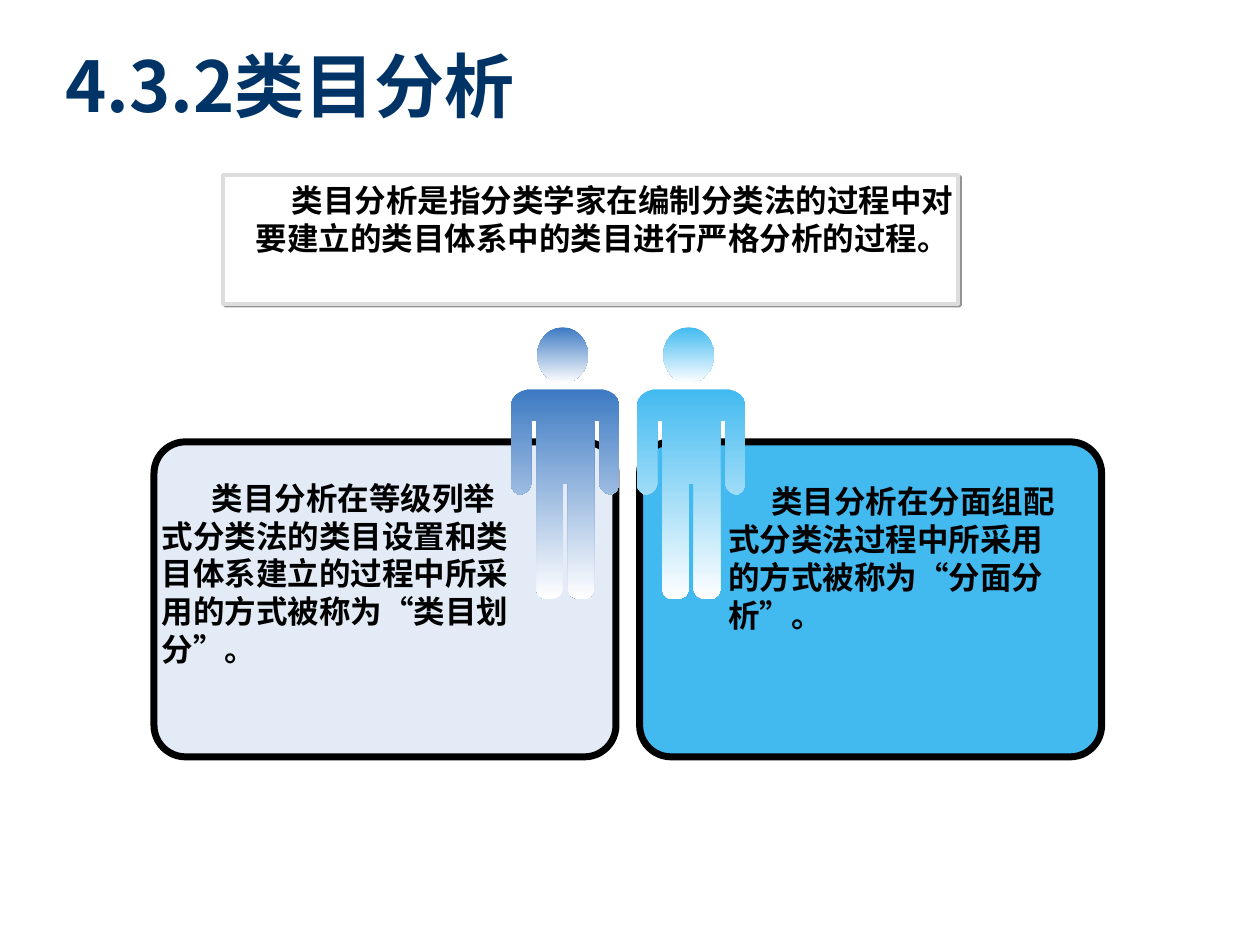
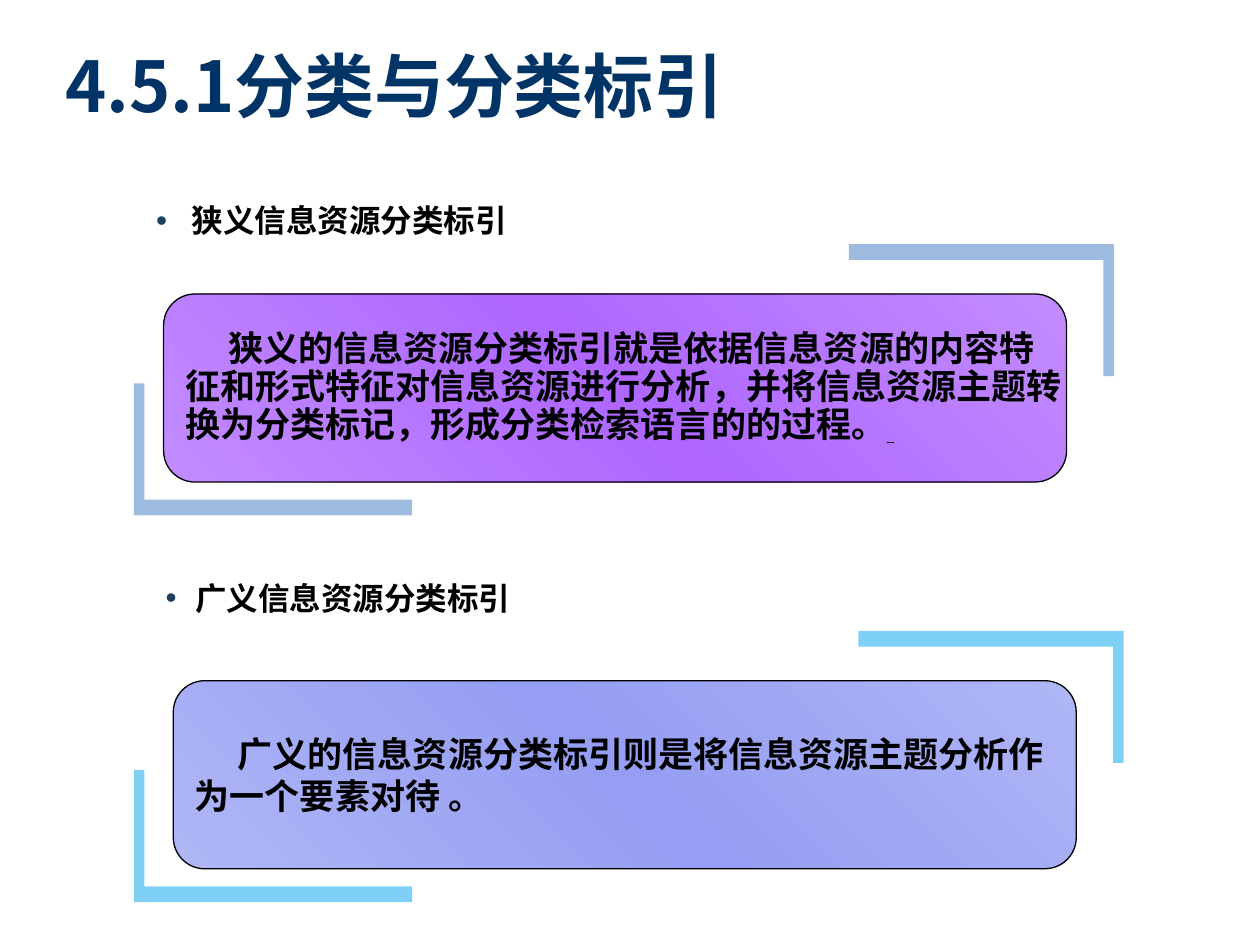
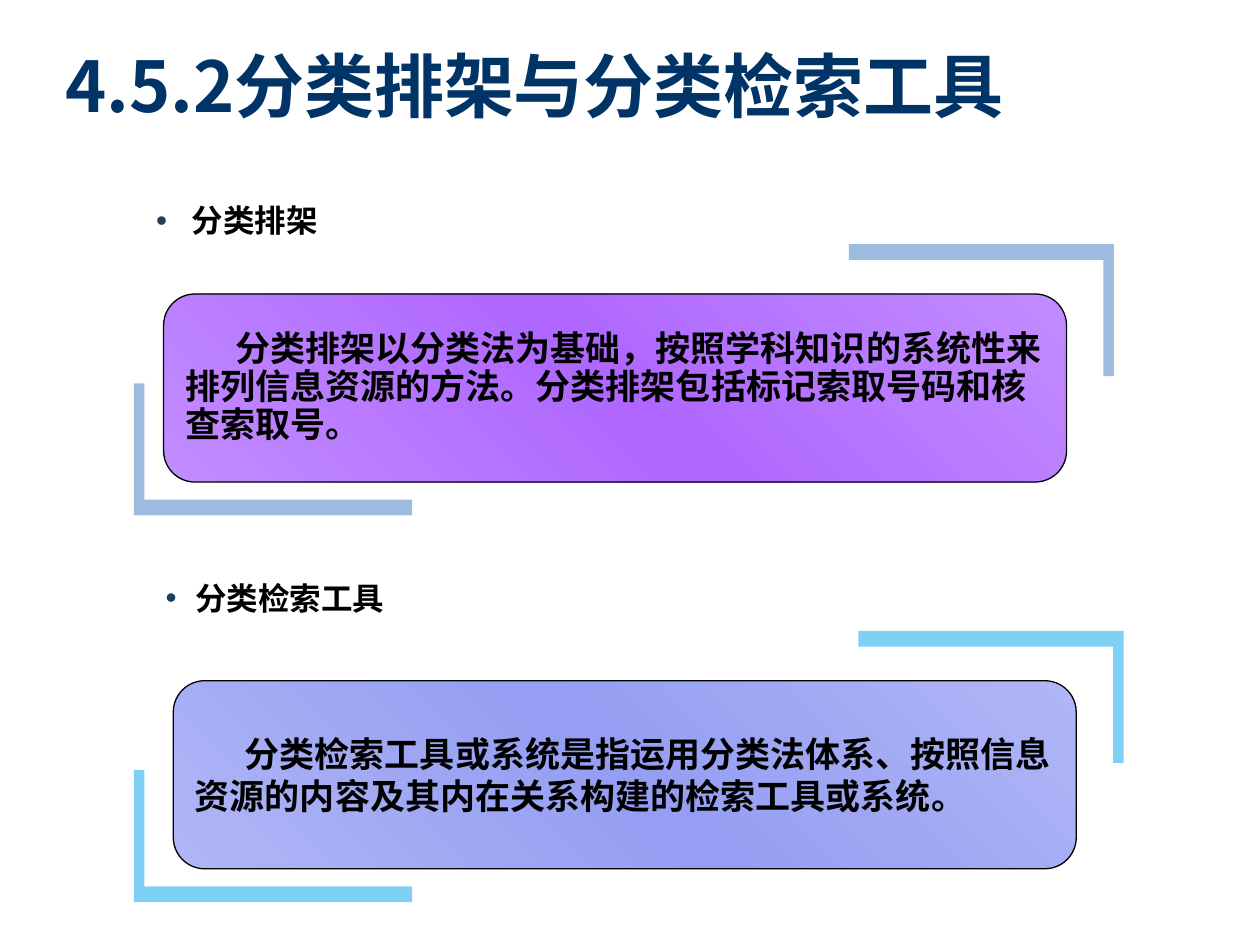
from dataclasses import dataclass
from math import cos, pi, sin

from lxml.etree import SubElement as Sub
from pptx import Presentation
from pptx.dml.color import RGBColor as RGB
from pptx.enum.shapes import MSO_SHAPE as Kind
from pptx.enum.text import MSO_ANCHOR as Anchor, MSO_AUTO_SIZE as Fit, PP_ALIGN as Align
from pptx.oxml.ns import qn
from pptx.util import Pt


@dataclass(frozen=True)
class Theme:
    navy: str = "003366"
    dot: str = "1F3F5F"
    ink: str = "000000"
    white: str = "FFFFFF"
    frame: str = "DDDDDD"
    shade: str = "292929"
    blue: str = "3D7AC3"
    sky: str = "42BAF0"
    violet: tuple = ("C28CFF", "AF67FF", "C28CFF")
    lilac: tuple = ("AFB6F6", "959EF3", "AFB6F6")
    head: str = "Noto Sans CJK SC"
    font: str = "Arial"
    title: int = 40
    text: int = 18
    card: int = 20


look = Theme()


def write(frame, text, size=look.text, color=look.ink, font=look.font, indent=0,
          hang=0, spacing=None, wrap=True, anchor=Anchor.TOP):
    """Fill a frame, one paragraph a line; hang sets a bullet, indent the first line."""
    frame.auto_size = Fit.NONE
    frame.word_wrap = wrap
    frame.vertical_anchor = anchor
    for i, line in enumerate(text.split("\n")):
        para = frame.add_paragraph() if i else frame.paragraphs[0]
        props = para._p.get_or_add_pPr()
        first = -hang if hang else indent if i == 0 else 0
        props.set("marL", str(Pt(hang)))
        props.set("indent", str(Pt(first)))
        if hang:
            Sub(Sub(props, qn("a:buClr")), qn("a:srgbClr"), val=look.dot)
            Sub(props, qn("a:buChar"), char="•")
        para.alignment = Align.LEFT
        para.space_before = Pt(0)
        if spacing:
            para.line_spacing = spacing
        run = para.add_run()
        run.text = line
        run.font.name, run.font.size, run.font.bold = font, Pt(size), True
        run.font.color.rgb = RGB.from_string(color)
        if font == look.head:
            Sub(run._r.get_or_add_rPr(), qn("a:ea"), typeface=font)
    return para


def paint(shape, fill, angle=0, alpha=100, line=None, width=1):
    """Give a shape a plain fill, or a gradient when fill is a tuple, and its outline."""
    shape.shadow.inherit = False
    if isinstance(fill, tuple):
        shape.fill.gradient()
        grad = shape.fill._xPr.find(qn("a:gradFill"))
        for node in list(grad):
            grad.remove(node)
        stops = Sub(grad, qn("a:gsLst"))
        for i, tone in enumerate(fill):
            stop = Sub(stops, qn("a:gs"), pos=str(100000 * i // (len(fill) - 1)))
            Sub(stop, qn("a:srgbClr"), val=tone)
        Sub(grad, qn("a:lin"), ang=str(angle * 60000), scaled="0")
    else:
        shape.fill.solid()
        shape.fill.fore_color.rgb = RGB.from_string(fill)
        if alpha < 100:
            tone = shape.fill._xPr.find(qn("a:solidFill"))[0]
            Sub(tone, qn("a:alpha"), val=str(alpha * 1000))
    if line:
        shape.line.color.rgb = RGB.from_string(line)
        shape.line.width = Pt(width)
    else:
        shape.line.fill.background()


deck = Presentation()
deck.slide_width, deck.slide_height = Pt(720), Pt(540)

# Titles
slides = []
for title, layout in (("4.3.2类目分析", 5), ("4.5.1分类与分类标引", 3),
                      ("4.5.2分类排架与分类检索工具", 3)):
    slide = deck.slides.add_slide(deck.slide_layouts[layout])
    box = slide.shapes.title
    box.left, box.top, box.width, box.height = Pt(30), Pt(24), Pt(672), Pt(48)
    write(box.text_frame, title, size=look.title, color=look.navy, font=look.head,
          anchor=Anchor.MIDDLE)
    slides.append(slide)

# Category analysis: two panels, two people, one definition
shapes = slides[0].shapes
for left, tone, alpha in ((365.5, look.sky, 100), (88, look.blue, 15)):
    panel = shapes.add_shape(Kind.ROUNDED_RECTANGLE, Pt(left), Pt(252.5), Pt(264), Pt(180))
    panel.adjustments[0] = 0.1
    paint(panel, tone, alpha=alpha, line=look.ink, width=4)

head = [(14.5 * sin(pi * i / 12) - 1.5, 16 - 16 * cos(pi * i / 12)) for i in range(24)]
half = [(21.5, 0), (25, 1), (28, 3), (30, 5.5), (31, 8), (31, 55), (30.5, 56.5),
        (29, 58.5), (27, 60), (25, 60), (22.5, 59), (20.5, 57), (19.5, 54.5),
        (19.5, 18), (16.5, 18), (16.5, 115), (15.5, 117.5), (13, 119.5), (9.5, 120),
        (6, 119.5), (3, 118), (1.5, 115), (1.5, 54)]
body = half + [(-x, y) for x, y in reversed(half)]
for mid, tone in ((323, look.blue), (395, look.sky)):
    person = shapes.add_group_shape()
    for top, part in ((187, head), (222.5, body)):
        dots = [(Pt(mid + x), Pt(top + y)) for x, y in part]
        pen = person.shapes.build_freeform(*dots[0])
        pen.add_line_segments(dots[1:])
        paint(pen.convert_to_shape(), (tone, look.white), angle=90)

board = shapes.add_shape(Kind.ROUNDED_RECTANGLE, Pt(127.5), Pt(100), Pt(420), Pt(73.5))
board.adjustments[0] = 0
paint(board, look.white, line=look.frame, width=2.25)
effects = board._element.spPr.find(qn("a:effectLst"))
shadow = Sub(effects, qn("a:outerShdw"), dist=str(Pt(1.4)), dir="2700000")
Sub(Sub(shadow, qn("a:srgbClr"), val=look.shade), qn("a:alpha"), val="50000")

for left, top, width, height, indent, text in (
    (85.5, 270, 215.5, 115, 28.5,
     "类目分析在等级列举式分类法的类目设置和类目体系建立的过程中所采用的方式被称为“类目划分”。"),
    (409, 272, 209.5, 94, 24.5,
     "类目分析在分面组配式分类法过程中所采用的方式被称为“分面分析”。"),
    (139, 100, 420, 50, 20.5,
     "类目分析是指分类学家在编制分类法的过程中对要建立的类目体系中的类目进行严格分析的过程。"),
):
    note = shapes.add_textbox(Pt(left), Pt(top), Pt(width), Pt(height))
    write(note.text_frame, text, indent=indent)

# Two headed cards a slide, each between a pair of corner brackets
pages = (
    (slides[1], 24.5, (
        ("狭义信息资源分类标引",
         "狭义的信息资源分类标引就是依据信息资源的内容特\n"
         "征和形式特征对信息资源进行分析，并将信息资源主题转\n"
         "换为分类标记，形成分类检索语言的的过程。"),
        ("广义信息资源分类标引",
         "广义的信息资源分类标引则是将信息资源主题分析作\n"
         "为一个要素对待 。"))),
    (slides[2], 28.5, (
        ("分类排架",
         "分类排架以分类法为基础，按照学科知识的系统性来\n"
         "排列信息资源的方法。分类排架包括标记索取号码和核\n"
         "查索取号。"),
        ("分类检索工具",
         "分类检索工具或系统是指运用分类法体系、按照信息\n"
         "资源的内容及其内在关系构建的检索工具或系统。"))),
)
styles = ((look.blue, 50, look.violet, 0.9, 20.5), (look.sky, 68, look.lilac, None, 17))
for slide, indent, cards in pages:
    for i, (name, text) in enumerate(cards):
        tone, alpha, fill, spacing, hang = styles[i]
        drop, shift = 221 * i, 5.5 * i
        for x, y, sign, width in ((76.5, 294.5, 1, 159), (636.5 + shift, 139.5, -1, 151.5)):
            arm = ((0, 0), (0, -75.5), (6, -75.5), (6, -9), (width, -9), (width, 0))
            dots = [(Pt(x + sign * dx), Pt(y + drop + sign * dy)) for dx, dy in arm]
            pen = slide.shapes.build_freeform(*dots[0])
            pen.add_line_segments(dots[1:])
            paint(pen.convert_to_shape(), tone, alpha=alpha)

        label = slide.placeholders[i + 1]
        label.left, label.top = Pt(82 + shift), Pt(111.5 + 215.5 * i)
        label.width, label.height = Pt(278), Pt(29)
        write(label.text_frame, name, hang=hang)

        card = slide.shapes.add_shape(Kind.ROUNDED_RECTANGLE, Pt(93.5 + shift),
                                      Pt(168 + drop), Pt(516), Pt(107.5))
        paint(card, fill, angle=315, line=look.ink, width=0.75)
        last = write(card.text_frame, text, size=look.card, indent=indent,
                     spacing=spacing, wrap=False, anchor=Anchor.MIDDLE)
        if slide is slides[1] and i == 0:
            blank = last.add_run()
            blank.text = " "
            blank.font.size, blank.font.underline = Pt(look.card), True
            blank.font.color.rgb = RGB.from_string(look.ink)

deck.save("out.pptx")
